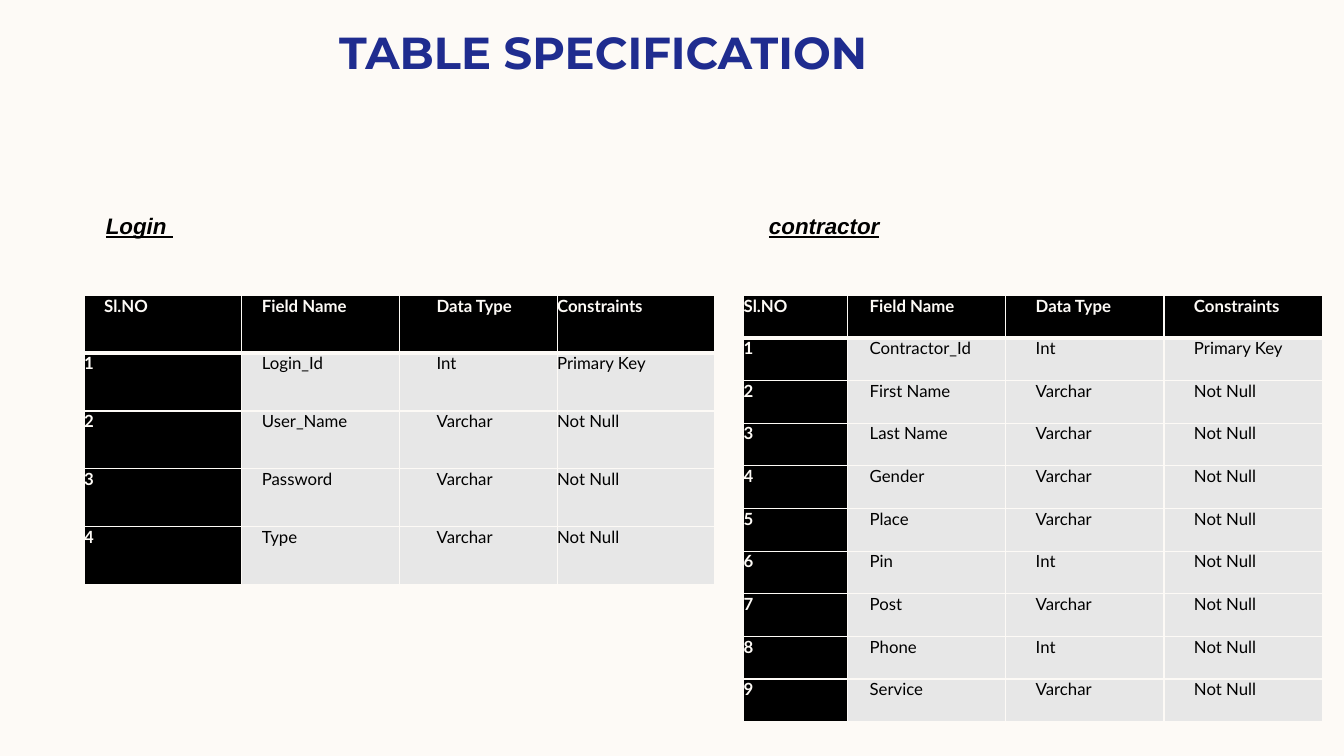
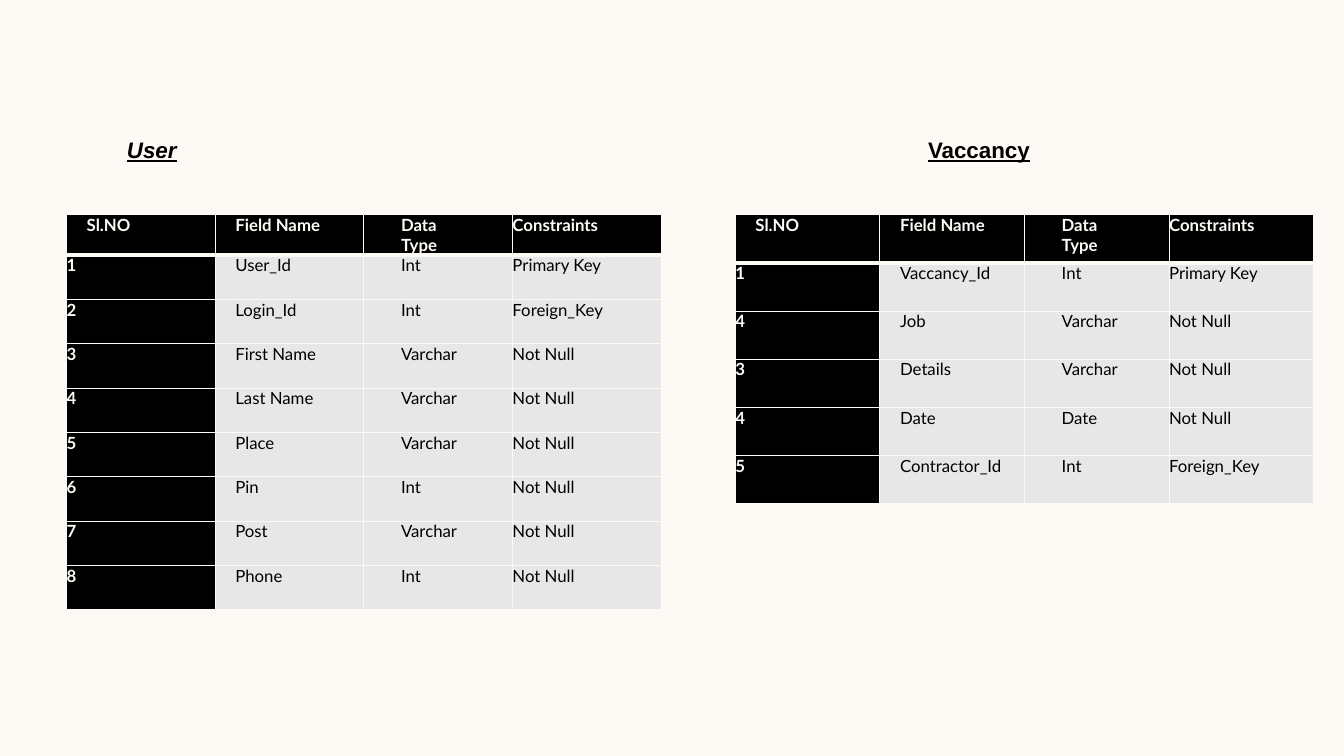
import pptx
import pptx.dml.color
import pptx.enum.text
import pptx.oxml
import pptx.oxml.ns
import pptx.util

Pt = pptx.util.Pt
Color = pptx.dml.color.RGBColor
Anchor = pptx.enum.text.MSO_ANCHOR
Align = pptx.enum.text.PP_ALIGN

CREAM = Color(0xFD, 0xFA, 0xF6)
NAVY = Color(0x1F, 0x2C, 0x8F)
BLACK = Color(0, 0, 0)
GREY = Color(0xE7, 0xE7, 0xE7)

HEADS = ("Sl.NO", "Field Name", "Data Type", "Constraints")
INDENTS = (14.4, 14.4, 26.6, 0)
TYPE_COL = 2
TYPE_PAD = 30
LABEL_H = 24

LOGIN = [
    ("1", "Login_Id", "Int", "Primary Key"),
    ("2", "User_Name", "Varchar", "Not Null"),
    ("3", "Password", "Varchar", "Not Null"),
    ("4", "Type", "Varchar", "Not Null"),
]
CONTRACTOR = [
    ("1", "Contractor_Id", "Int", "Primary Key"),
    ("2", "First Name", "Varchar", "Not Null"),
    ("3", "Last Name", "Varchar", "Not Null"),
    ("4", "Gender", "Varchar", "Not Null"),
    ("5", "Place", "Varchar", "Not Null"),
    ("6", "Pin", "Int", "Not Null"),
    ("7", "Post", "Varchar", "Not Null"),
    ("8", "Phone", "Int", "Not Null"),
    ("9", "Service", "Varchar", "Not Null"),
]
USER = [
    ("1", "User_Id", "Int", "Primary Key"),
    ("2", "Login_Id", "Int", "Foreign_Key"),
    ("3", "First Name", "Varchar", "Not Null"),
    ("4", "Last Name", "Varchar", "Not Null"),
    ("5", "Place", "Varchar", "Not Null"),
    ("6", "Pin", "Int", "Not Null"),
    ("7", "Post", "Varchar", "Not Null"),
    ("8", "Phone", "Int", "Not Null"),
]
VACANCY = [
    ("1", "Vaccancy_Id", "Int", "Primary Key"),
    ("4", "Job", "Varchar", "Not Null"),
    ("3", "Details", "Varchar", "Not Null"),
    ("4", "Date", "Date", "Not Null"),
    ("5", "Contractor_Id", "Int", "Foreign_Key"),
]


def add_slide(deck):
    slide = deck.slides.add_slide(deck.slide_layouts[6])
    fill = slide.background.fill
    fill.solid()
    fill.fore_color.rgb = CREAM
    return slide


def set_font(para, name, size, color, bold=True):
    font = para.font
    font.name, font.size, font.bold = name, Pt(size), bold
    font.color.rgb = color


def add_text(slide, box, text):
    """Add a middle-anchored line of text without insets; return its paragraph."""
    frame = slide.shapes.add_textbox(*map(Pt, box)).text_frame
    frame.word_wrap = True
    frame.vertical_anchor = Anchor.MIDDLE
    frame.margin_left = frame.margin_right = 0
    frame.margin_top = frame.margin_bottom = 0
    para = frame.paragraphs[0]
    para.text = text
    return para


def add_title(slide, box, text):
    para = add_text(slide, box, text)
    para.alignment = Align.CENTER
    set_font(para, "Montserrat", 32, NAVY)


def add_label(slide, left, mid, text, italic=True):
    """Add a table's underlined name, centred on the height mid."""
    para = add_text(slide, (left, mid - LABEL_H / 2, 150, LABEL_H), text)
    set_font(para, "Arial", 16, BLACK)
    para.font.italic = italic
    para.font.underline = True


def add_borders(cell, top, bottom):
    props = cell._tc.get_or_add_tcPr()
    space = pptx.oxml.ns.nsdecls("a")
    for side, width in zip("LRTB", (1, 1, top, bottom)):
        props.append(pptx.oxml.parse_xml(
            f'<a:ln{side} {space} w="{Pt(width)}"><a:solidFill>'
            f'<a:srgbClr val="{CREAM}"/></a:solidFill></a:ln{side}>'))


def fill_cell(cell, row, col, text, indent):
    head, dark = row == 0, row == 0 or col == 0
    cell.margin_left = Pt(indent)
    cell.margin_right = Pt(TYPE_PAD if head and col == TYPE_COL else 0)
    cell.margin_top = cell.margin_bottom = 0
    add_borders(cell, 3 if row == 1 else 1, 3 if head else 1)
    cell.fill.solid()
    cell.fill.fore_color.rgb = BLACK if dark else GREY
    para = cell.text_frame.paragraphs[0]
    para.text = text
    set_font(para, "Lato", 12, CREAM if dark else BLACK, dark)


def add_fields(slide, box, fields, first=None, head=None, indents=INDENTS):
    """Add a field table; first is the width of column one, head the header height."""
    left, top, width, height = box
    rows = [HEADS, *fields]
    first = first or width / len(HEADS)
    head = head or height / len(rows)
    table = slide.shapes.add_table(len(rows), len(HEADS), *map(Pt, box)).table
    table.horz_banding = False
    for col, column in enumerate(table.columns):
        column.width = Pt((width - first) / (len(HEADS) - 1) if col else first)
    for row, texts in enumerate(rows):
        table.rows[row].height = Pt((height - head) / len(fields) if row else head)
        for col, text in enumerate(texts):
            indent = indents[col] if col or row == 0 else 0
            fill_cell(table.cell(row, col), row, col, text, indent)


def add_login(deck):
    slide = add_slide(deck)
    add_title(slide, (11, 13, 840, 48), "TABLE SPECIFICATION")
    add_fields(slide, (60, 211, 450.6, 206.6), LOGIN)
    add_fields(slide, (531.2, 211, 413.4, 304.6), CONTRACTOR,
               first=74.2, indents=(0, 15.8, 21.4, 21.4))
    add_label(slide, 75.6, 161, "Login ")
    add_label(slide, 549.3, 161, "contractor")


def add_user(deck):
    slide = add_slide(deck)
    add_fields(slide, (47.5, 153.4, 424.8, 280.8), USER, head=27.4)
    add_fields(slide, (525.2, 153.4, 413.2, 206.6), VACANCY)
    add_label(slide, 90.7, 106.8, "User")
    add_label(slide, 662.9, 106.8, "Vaccancy", italic=False)


def main():
    deck = pptx.Presentation()
    deck.slide_width, deck.slide_height = Pt(960), Pt(540)
    add_login(deck)
    add_user(deck)
    deck.save("out.pptx")


if __name__ == "__main__":
    main()
